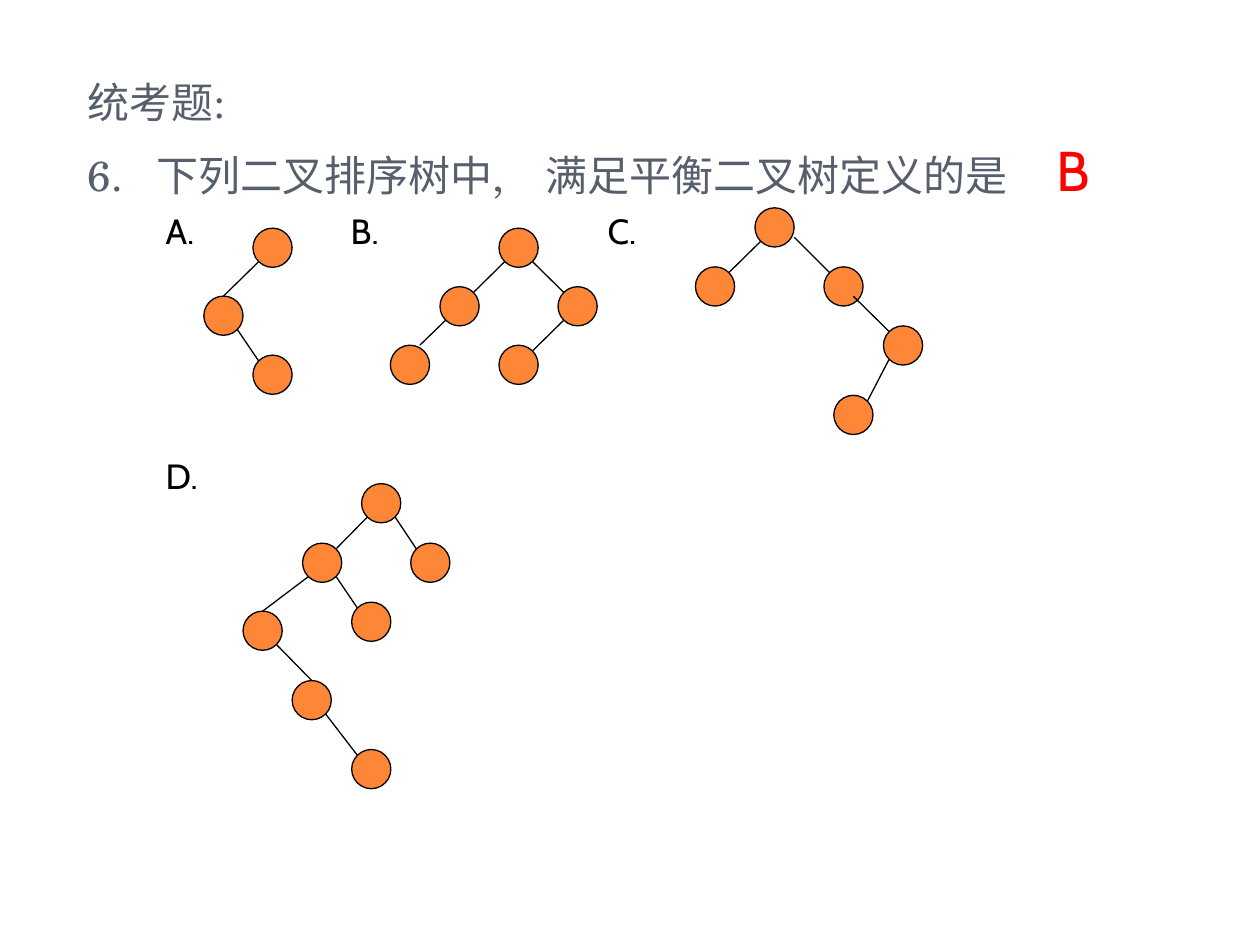
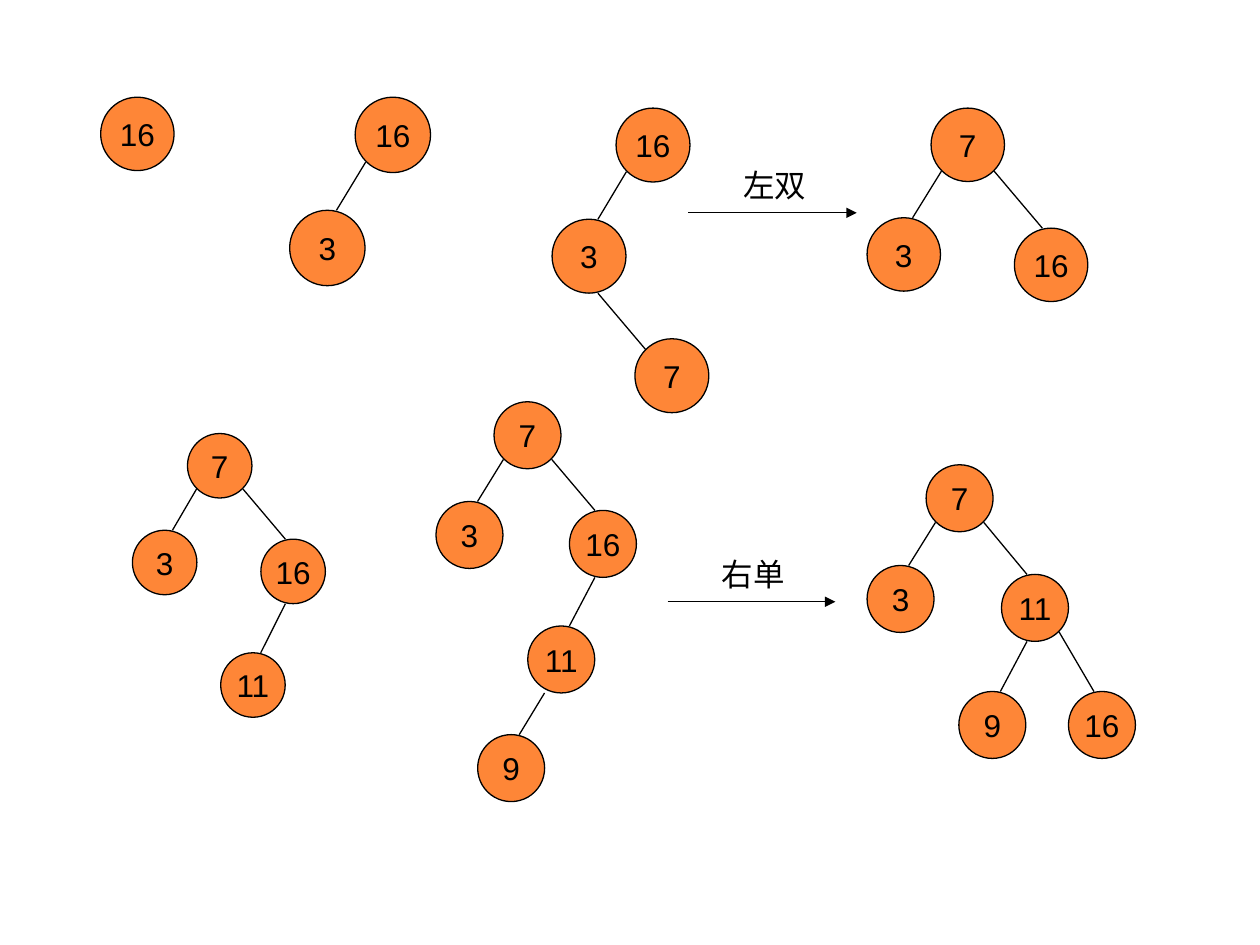
"""Build two slides on balanced binary trees: an exam question and rotations."""
from dataclasses import dataclass
from typing import NamedTuple

from lxml import etree
from pptx import Presentation
from pptx import util as u
from pptx.dml.color import RGBColor
from pptx.enum import shapes, text
from pptx.oxml import ns


@dataclass(frozen=True)
class Theme:
    """Colours, fonts, type sizes and line width of the deck."""
    node: RGBColor = RGBColor(0xFE, 0x86, 0x37)
    ink: RGBColor = RGBColor(0, 0, 0)
    heading: RGBColor = RGBColor(0x57, 0x5F, 0x6D)
    answer: RGBColor = RGBColor(0xFF, 0, 0)
    serif: str = "TeX Gyre Schola"
    sans: str = "Cabin"
    label_font: str = "Arial"
    heading_pt: float = 24
    answer_pt: float = 32
    option_pt: float = 20
    label_pt: float = 18
    line_pt: float = 0.75


THEME = Theme()


class Site(NamedTuple):
    """Point on a node as fractions of its width and height."""
    x: float
    y: float


TOP = Site(0.5, 0)
TOP_L = Site(0.38, 0)
TOP_R = Site(0.62, 0)
TOP_FAR_R = Site(0.75, 0)
UP_L = Site(0.14, 0.14)
UP_R = Site(0.86, 0.14)
LOW_L = Site(0.14, 0.86)
LOW_R = Site(0.86, 0.86)
BASE_FAR_L = Site(0.25, 1)
BASE_L = Site(0.38, 1)
BASE_R = Site(0.62, 1)
SIDE_R = Site(1, 0.75)
INNER_R = Site(0.75, 0.75)


class Node(NamedTuple):
    """Top left corner in centimetres and the key shown."""
    x: float
    y: float
    key: str = ""


class Edge(NamedTuple):
    """Line from a site of the parent to a site of the child."""
    parent: int
    start: Site
    child: int
    end: Site


@dataclass(frozen=True)
class Tree:
    """Nodes of one diameter joined by edges."""
    size: float
    nodes: tuple[Node, ...]
    edges: tuple[Edge, ...] = ()


class Step(NamedTuple):
    """Rotation arrow and the place of its caption."""
    caption: str
    x1: float
    x2: float
    y: float
    text_x: float
    text_y: float
    text_w: float


class Style(NamedTuple):
    """Font, size and colour of a run."""
    font: str
    size: float
    color: RGBColor


class Line(NamedTuple):
    """Paragraph with its tab stops in centimetres and space before in points."""
    runs: tuple[tuple[str, Style], ...]
    tabs: tuple[float, ...] = ()
    before: float = 0


HEADING = Style(THEME.serif, THEME.heading_pt, THEME.heading)
ANSWER = Style(THEME.sans, THEME.answer_pt, THEME.answer)
OPTION = Style(THEME.sans, THEME.option_pt, THEME.ink)
LABEL = Style(THEME.label_font, THEME.label_pt, THEME.ink)

QUESTION = (
    Line((("统考题:", HEADING),)),
    Line((("6.\t下列二叉排序树中,\t满足平衡二叉树定义的是\t", HEADING), ("B", ANSWER)),
         (1.38, 9.23, 19.53), 4.8),
    Line((("\tA.\tB.\tC.", OPTION),), (1.57, 5.3, 10.48), 4),
    Line((("\tD.", OPTION),), (1.57,), 116),
)

OPTION_SIZE = 0.79
OPTIONS = (
    Tree(OPTION_SIZE, (Node(5.1, 4.6), Node(4.11, 5.97), Node(5.1, 7.16)),
         (Edge(0, LOW_L, 1, TOP), Edge(1, LOW_R, 2, UP_L))),
    Tree(OPTION_SIZE,
         (Node(10.06, 4.6), Node(8.87, 5.78), Node(11.25, 5.78),
          Node(7.87, 6.96), Node(10.06, 6.96)),
         (Edge(0, LOW_L, 1, UP_R), Edge(0, LOW_R, 2, UP_L),
          Edge(1, LOW_L, 3, TOP_FAR_R), Edge(2, LOW_L, 4, UP_R))),
    Tree(OPTION_SIZE,
         (Node(15.22, 4.19), Node(14.02, 5.38), Node(16.61, 5.38),
          Node(17.81, 6.57), Node(16.81, 7.97)),
         (Edge(0, LOW_L, 1, UP_R), Edge(0, SIDE_R, 2, UP_L),
          Edge(2, INNER_R, 3, UP_L), Edge(3, LOW_L, 4, UP_R))),
    Tree(OPTION_SIZE,
         (Node(7.29, 9.75), Node(6.1, 10.95), Node(8.28, 10.95), Node(4.9, 12.32),
          Node(7.09, 12.14), Node(5.89, 13.72), Node(7.09, 15.11)),
         (Edge(0, LOW_L, 1, UP_R), Edge(0, LOW_R, 2, UP_L), Edge(1, LOW_L, 3, TOP),
          Edge(1, LOW_R, 4, UP_L), Edge(3, LOW_R, 5, TOP), Edge(5, LOW_R, 6, UP_L))),
)

ROOT_LEFT = Edge(0, LOW_L, 1, TOP_R)
ROOT_RIGHT = Edge(0, LOW_R, 2, TOP_L)
RIGHT_LEFT = Edge(2, BASE_L, 3, TOP_R)
ROTATIONS = (
    Tree(1.48, (Node(2.03, 1.96, "16"),)),
    Tree(1.52, (Node(7.16, 1.96, "16"), Node(5.84, 4.24, "3")), (ROOT_LEFT,)),
    Tree(1.49, (Node(12.42, 2.18, "16"), Node(11.13, 4.42, "3"), Node(12.8, 6.83, "7")),
         (ROOT_LEFT, Edge(1, BASE_R, 2, UP_L))),
    Tree(1.48, (Node(18.77, 2.18, "7"), Node(17.48, 4.39, "3"), Node(20.45, 4.6, "16")),
         (ROOT_LEFT, ROOT_RIGHT)),
    Tree(1.3,
         (Node(3.78, 8.74, "7"), Node(2.67, 10.69, "3"), Node(5.26, 10.87, "16"),
          Node(4.45, 13.16, "11")),
         (ROOT_LEFT, ROOT_RIGHT, RIGHT_LEFT)),
    Tree(1.35,
         (Node(9.96, 8.1, "7"), Node(8.79, 10.11, "3"), Node(11.48, 10.29, "16"),
          Node(10.64, 12.62, "11"), Node(9.63, 14.81, "9")),
         (ROOT_LEFT, ROOT_RIGHT, RIGHT_LEFT, Edge(3, BASE_FAR_L, 4, TOP_R))),
    Tree(1.35,
         (Node(18.67, 9.37, "7"), Node(17.48, 11.4, "3"), Node(20.19, 11.58, "11"),
          Node(19.33, 13.94, "9"), Node(21.54, 13.94, "16")),
         (ROOT_LEFT, ROOT_RIGHT, RIGHT_LEFT, Edge(2, LOW_R, 4, TOP_L))),
)
STEPS = (
    Step("左双", 13.87, 17.27, 4.29, 14.73, 3.23, 1.91),
    Step("右单", 13.46, 16.84, 12.13, 14.3, 11.07, 2.34),
)


def add_run(p, content: str, style: Style) -> None:
    """Append one styled run to a paragraph."""
    r = p.add_run()
    r.text = content
    r.font.name = style.font
    r.font.size = u.Pt(style.size)
    r.font.color.rgb = style.color


def add_line(sp_tree, x1: float, y1: float, x2: float, y2: float, arrow: bool = False) -> None:
    """Draw a thin line without shadow, with an arrowhead on request."""
    ln = sp_tree.add_connector(shapes.MSO_CONNECTOR.STRAIGHT,
                               u.Cm(x1), u.Cm(y1), u.Cm(x2), u.Cm(y2))
    ln.line.color.rgb = THEME.ink
    ln.line.width = u.Pt(THEME.line_pt)
    if arrow:
        etree.SubElement(ln.line._get_or_add_ln(), ns.qn("a:tailEnd"), type="triangle")
    etree.SubElement(ln._element.spPr, ns.qn("a:effectLst"))


def add_node(sp_tree, node: Node, size: float) -> None:
    """Draw one tree node with its key."""
    sp = sp_tree.add_shape(shapes.MSO_SHAPE.OVAL,
                           u.Cm(node.x), u.Cm(node.y), u.Cm(size), u.Cm(size))
    sp.shadow.inherit = False
    sp.fill.solid()
    sp.fill.fore_color.rgb = THEME.node
    sp.line.color.rgb = THEME.ink
    sp.line.width = u.Pt(THEME.line_pt)
    if node.key:
        tf = sp.text_frame
        tf.word_wrap = False
        tf.vertical_anchor = text.MSO_ANCHOR.MIDDLE
        p = tf.paragraphs[0]
        p.alignment = text.PP_ALIGN.CENTER
        add_run(p, node.key, LABEL)


def add_tree(s, tree: Tree) -> None:
    """Draw a tree, grouped when it has edges."""
    sp_tree = s.shapes.add_group_shape().shapes if tree.edges else s.shapes
    for node in tree.nodes:
        add_node(sp_tree, node, tree.size)
    for edge in tree.edges:
        a, b = tree.nodes[edge.parent], tree.nodes[edge.child]
        add_line(sp_tree,
                 a.x + edge.start.x * tree.size, a.y + edge.start.y * tree.size,
                 b.x + edge.end.x * tree.size, b.y + edge.end.y * tree.size)


def add_text(s, x: float, y: float, w: float, h: float, lines: tuple[Line, ...]):
    """Add a wrapping text box and return its text frame."""
    tf = s.shapes.add_textbox(u.Cm(x), u.Cm(y), u.Cm(w), u.Cm(h)).text_frame
    tf.word_wrap = True
    for i, line in enumerate(lines):
        p = tf.add_paragraph() if i else tf.paragraphs[0]
        if line.before:
            p.space_before = u.Pt(line.before)
        if line.tabs:
            tab_list = etree.SubElement(p._p.get_or_add_pPr(), ns.qn("a:tabLst"))
            for stop in line.tabs:
                etree.SubElement(tab_list, ns.qn("a:tab"), pos=str(u.Cm(stop)), algn="l")
        for content, style in line.runs:
            add_run(p, content, style)
    return tf


def add_step(s, step: Step) -> None:
    """Draw a rotation arrow with its caption."""
    add_line(s.shapes, step.x1, step.y, step.x2, step.y, arrow=True)
    tf = add_text(s, step.text_x, step.text_y, step.text_w, 1.02,
                  (Line(((step.caption, LABEL),)),))
    tf.auto_size = text.MSO_AUTO_SIZE.SHAPE_TO_FIT_TEXT


def main() -> None:
    """Build and save the deck."""
    prs = Presentation()
    prs.slide_width, prs.slide_height = u.Cm(25.4), u.Cm(19.05)
    blank = prs.slide_layouts[6]

    question = prs.slides.add_slide(blank)
    add_text(question, 1.52, 1.42, 21.59, 15.09, QUESTION)
    for tree in OPTIONS:
        add_tree(question, tree)

    rotation = prs.slides.add_slide(blank)
    for tree in ROTATIONS:
        add_tree(rotation, tree)
    for step in STEPS:
        add_step(rotation, step)

    prs.save("out.pptx")


if __name__ == "__main__":
    main()
